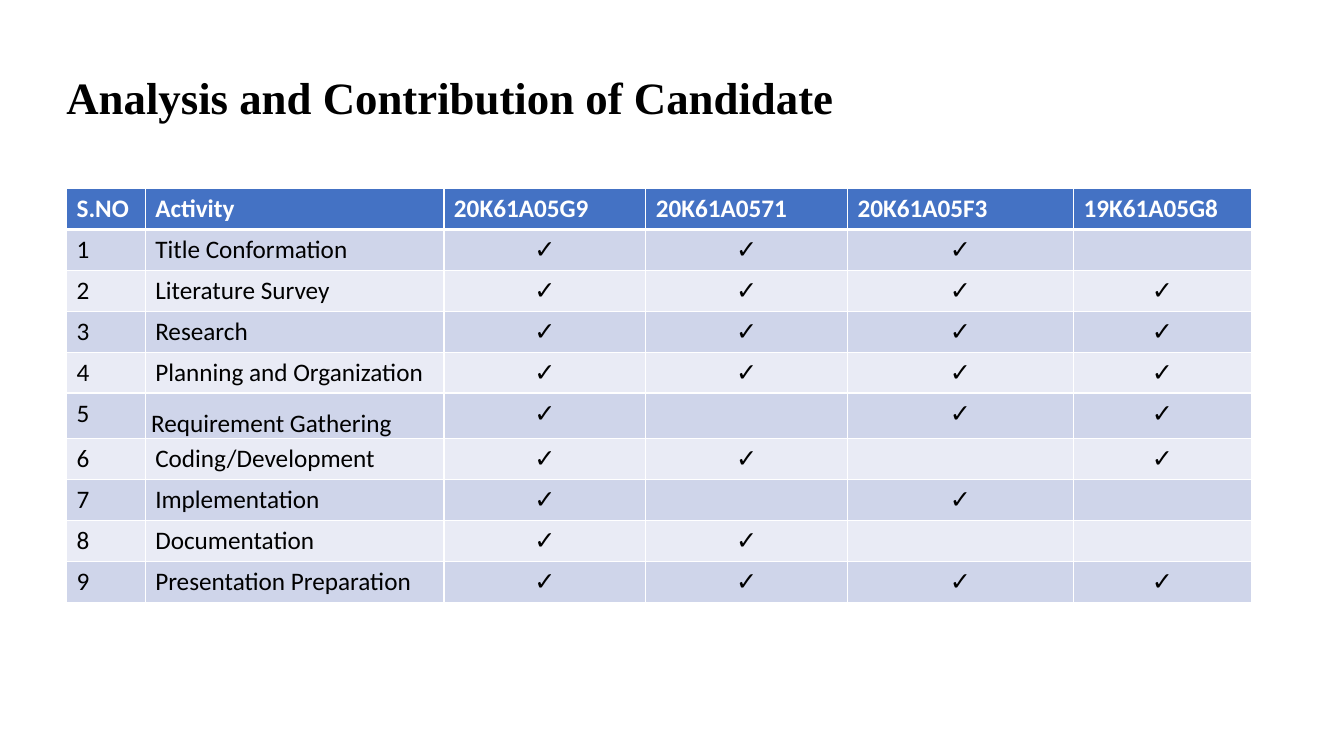
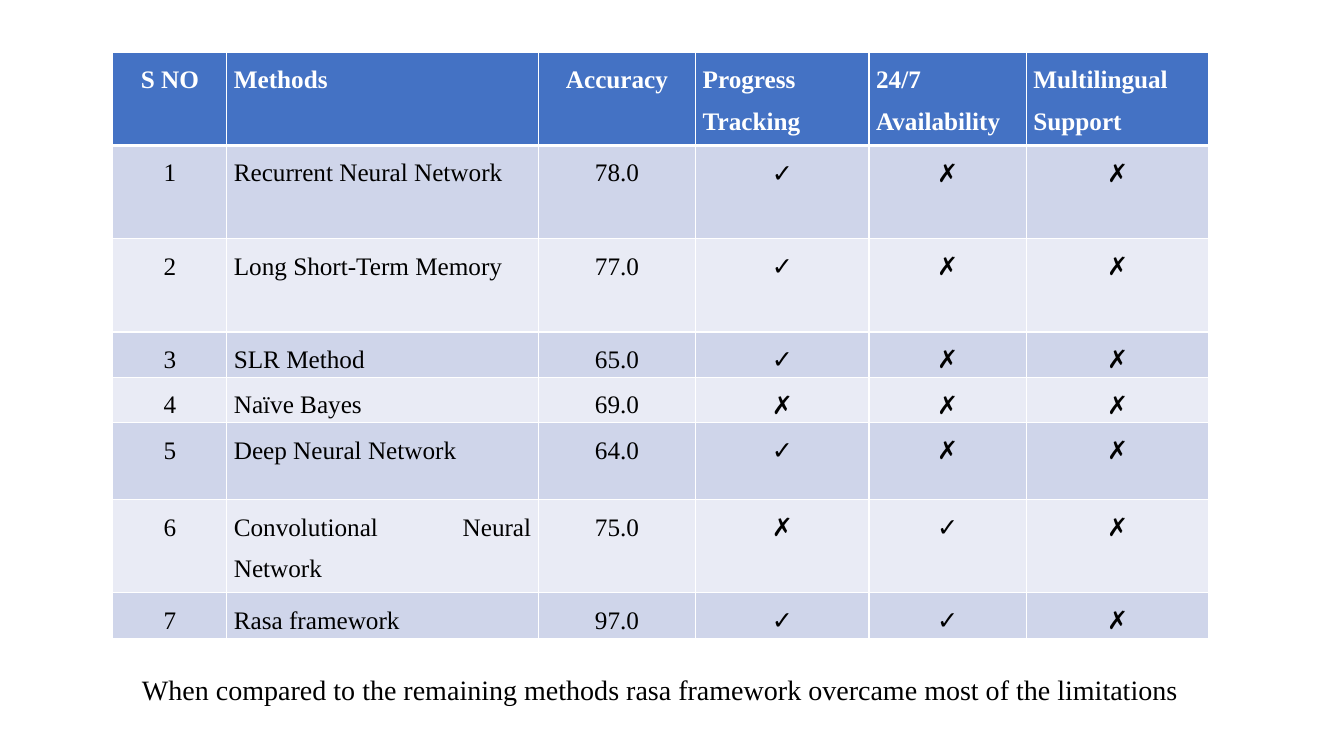
from dataclasses import dataclass

from lxml import etree
from pptx import Presentation
from pptx.dml.color import RGBColor
from pptx.enum.text import MSO_ANCHOR, PP_ALIGN
from pptx.oxml.ns import qn
from pptx.util import Inches, Pt

LEFT, CENTER, JUSTIFY = PP_ALIGN.LEFT, PP_ALIGN.CENTER, PP_ALIGN.JUSTIFY
MIDDLE, TOP = MSO_ANCHOR.MIDDLE, MSO_ANCHOR.TOP
SLIDE_W, SLIDE_H = Inches(13.33), Inches(7.5)
YES, NO = "✓", "✗"


@dataclass(frozen=True)
class Theme:
    ink: str = "000000"
    white: str = "FFFFFF"
    header: str = "4472C4"
    bands: tuple = ("CFD5EA", "E9EBF5")
    serif: str = "Times New Roman"
    sans: str = "Calibri"
    symbol: str = "Arial"
    title_size: int = 32
    note_size: int = 20
    cell_size: int = 18
    rule: int = 1
    header_rule: int = 3


@dataclass(frozen=True)
class TableStyle:
    font: str
    mark_font: str
    header_aligns: tuple
    body_aligns: tuple
    margins: tuple  # left, top, right, bottom in inches
    line_spacing: float = 1.0


THEME = Theme()
ACTIVITY_STYLE = TableStyle(
    THEME.sans, THEME.sans, (LEFT,) * 6, (LEFT,) * 2 + (CENTER,) * 4,
    (0.1, 0.05, 0.1, 0.05))
METHOD_STYLE = TableStyle(
    THEME.serif, THEME.symbol,
    (CENTER, JUSTIFY, CENTER, JUSTIFY, JUSTIFY, JUSTIFY),
    (CENTER, JUSTIFY) + (CENTER,) * 4,
    (0.07, 0, 0.07, 0), 1.5)

ACTIVITY_HEAD = ("S.NO", "Activity", "20K61A05G9", "20K61A0571",
                 "20K61A05F3", "19K61A05G8")
ACTIVITY_COLS = (0.78, 2.96, 2, 2, 2.24, 1.76)
ACTIVITIES = (  # activity, one flag per candidate
    ("Title Conformation", "1110"),
    ("Literature Survey", "1111"),
    ("Research", "1111"),
    ("Planning and Organization", "1111"),
    ("Requirement Gathering", "1011"),
    ("Coding/Development", "1101"),
    ("Implementation", "1010"),
    ("Documentation", "1100"),
    ("Presentation Preparation", "1111"),
)
GATHERING_ROW = 5

METHOD_HEAD = ("S NO", "Methods", "Accuracy", "Progress Tracking",
               "24/7 Availability", "Multilingual Support")
METHOD_COLS = (1.13, 3.09, 1.56, 1.72, 1.56, 1.81)
METHOD_ROWS = (0.92, 0.92, 0.92, 0.44, 0.44, 0.76, 0.92, 0.44)
METHODS = (  # method, accuracy, one flag per feature
    ("Recurrent Neural Network", "78.0", "100"),
    ("Long Short-Term Memory", "77.0", "100"),
    ("SLR Method", "65.0", "100"),
    ("Naïve Bayes", "69.0", "000"),
    ("Deep Neural Network", "64.0", "100"),
    ("Convolutional Neural Network", "75.0", "010"),
    ("Rasa framework", "97.0", "110"),
)


def box(left, top, width, height):
    """Turn percentages of the slide's size into lengths."""
    return (int(SLIDE_W * left / 100), int(SLIDE_H * top / 100),
            int(SLIDE_W * width / 100), int(SLIDE_H * height / 100))


def share(total, weights):
    return [int(total * w / sum(weights)) for w in weights]


def set_font(p, name, size, color=THEME.ink, bold=False):
    p.font.name, p.font.size, p.font.bold = name, Pt(size), bold
    p.font.color.rgb = RGBColor.from_string(color)


def add_text(s, area, text, size, bold=False, anchor=TOP, spacing=1.0):
    tf = s.shapes.add_textbox(*area).text_frame
    tf.word_wrap, tf.vertical_anchor = True, anchor
    p = tf.paragraphs[0]
    p.text, p.line_spacing = text, spacing
    set_font(p, THEME.serif, size, bold=bold)


def set_borders(cell, top, bottom):
    tc_pr = cell._tc.get_or_add_tcPr()
    edges = (("a:lnL", THEME.rule), ("a:lnR", THEME.rule),
             ("a:lnT", top), ("a:lnB", bottom))
    for i, (tag, width) in enumerate(edges):
        ln = etree.Element(qn(tag), w=str(Pt(width)))
        fill = etree.SubElement(ln, qn("a:solidFill"))
        etree.SubElement(fill, qn("a:srgbClr"), val=THEME.white)
        tc_pr.insert(i, ln)


def set_margins(cell, margins):
    (cell.margin_left, cell.margin_top,
     cell.margin_right, cell.margin_bottom) = map(Inches, margins)


def fill_cell(cell, text, row, col, style):
    head = row == 0
    cell.fill.solid()
    cell.fill.fore_color.rgb = RGBColor.from_string(
        THEME.header if head else THEME.bands[(row - 1) % 2])
    set_borders(cell, THEME.header_rule if row == 1 else THEME.rule,
                THEME.header_rule if head else THEME.rule)
    set_margins(cell, style.margins)
    p = cell.text_frame.paragraphs[0]
    if text:
        p.text = text
    p.alignment = (style.header_aligns if head else style.body_aligns)[col]
    p.line_spacing = style.line_spacing
    set_font(p, style.mark_font if text in (YES, NO) else style.font,
             THEME.cell_size, THEME.white if head else THEME.ink, head)


def add_grid(s, area, rows, col_weights, row_weights, style):
    table = s.shapes.add_table(len(rows), len(col_weights), *area).table
    for column, width in zip(table.columns, share(area[2], col_weights)):
        column.width = width
    for row, height in zip(table.rows, share(area[3], row_weights)):
        row.height = height
    for r, values in enumerate(rows):
        for c, text in enumerate(values):
            fill_cell(table.cell(r, c), text, r, c, style)
    return table


def numbered(head, records, off_mark):
    """Put the header first, number the records and draw their flags."""
    return [head] + [
        (str(n), *texts, *(YES if f == "1" else off_mark for f in flags))
        for n, (*texts, flags) in enumerate(records, 1)]


def contribution_slide(s):
    add_text(s, box(4.2, 7.87, 90.1, 10.8),
             "Analysis and Contribution of Candidate",
             THEME.title_size, True, MIDDLE, 0.9)
    rows = numbered(ACTIVITY_HEAD, ACTIVITIES, "")
    table = add_grid(s, box(4.95, 24.93, 88.15, 54.13), rows, ACTIVITY_COLS,
                     (1,) * len(rows), ACTIVITY_STYLE)
    gathering = table.cell(GATHERING_ROW, 1)
    set_margins(gathering, (0.06, 0, 0, 0))
    p = gathering.text_frame.paragraphs[0]
    p.alignment, p.line_spacing, p.space_before = JUSTIFY, 1.5, Pt(5.5)


def comparison_slide(s):
    add_grid(s, box(8.4, 6.93, 81.55, 77.2),
             numbered(METHOD_HEAD, METHODS, NO),
             METHOD_COLS, METHOD_ROWS, METHOD_STYLE)
    add_text(s, box(9.83, 88.27, 86.42, 5.87),
             "When compared to the remaining methods rasa framework "
             "overcame most of the limitations", THEME.note_size)


def main():
    prs = Presentation()
    prs.slide_width, prs.slide_height = SLIDE_W, SLIDE_H
    blank = prs.slide_layouts[6]
    for build in (contribution_slide, comparison_slide):
        build(prs.slides.add_slide(blank))
    prs.save("out.pptx")


if __name__ == "__main__":
    main()
